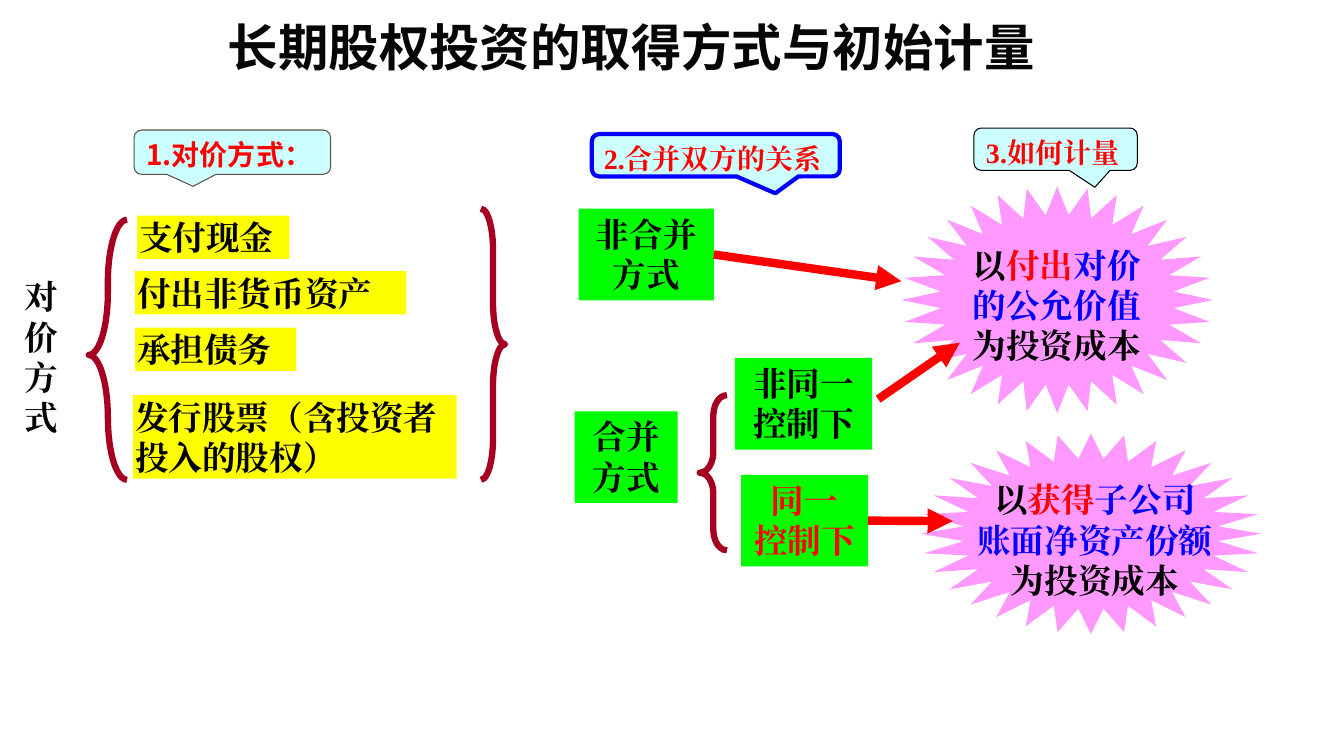
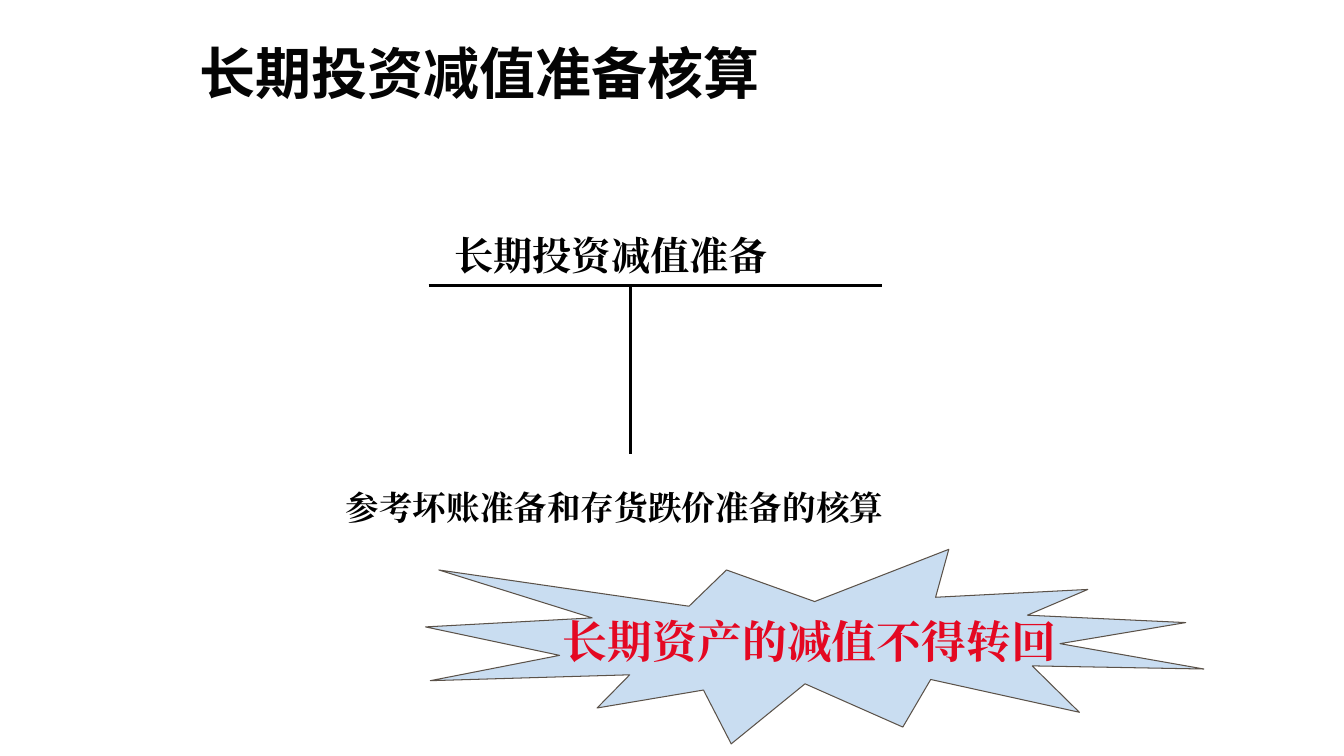
from dataclasses import dataclass
from typing import Any, Optional

import pptx
import pptx.dml.color
import pptx.enum.shapes
import pptx.enum.text
import pptx.oxml
import pptx.oxml.ns
import pptx.util
from pptx.util import Inches

SHAPE = pptx.enum.shapes.MSO_SHAPE
ALIGN = pptx.enum.text.PP_ALIGN
ANCHOR = pptx.enum.text.MSO_ANCHOR
Box = tuple[float, float, float, float]
Point = tuple[float, float]


@dataclass(frozen=True)
class Theme:
    serif: str = "Times New Roman"
    sans: str = "Noto Sans CJK SC"
    title_font: str = "Noto Sans CJK JP"
    ink: str = "070605"
    black: str = "000000"
    red: str = "FF0000"
    blue: str = "0000FF"
    brace: str = "A50021"
    outline: str = "5B5249"
    green: str = "00FF00"
    yellow: str = "FFFF00"
    pink: str = "FF99FF"
    cyan: str = "CCFFFF"
    pale_blue: str = "C9DDF1"
    alert: str = "E40822"
    body: float = 24
    label: float = 20
    account: float = 28
    warning: float = 32


T = Theme()


@dataclass(frozen=True)
class Run:
    text: str
    color: str


@dataclass(frozen=True)
class Callout:
    text: str
    box: Box
    tip: Point
    line: str
    width: float = 0.75
    font: str = T.serif


@dataclass(frozen=True)
class Method:
    lines: list[str]
    box: Box
    color: str = T.ink


@dataclass(frozen=True)
class Burst:
    box: Box
    text_box: Box
    lines: list[list[Run]]


@dataclass(frozen=True)
class Brace:
    kind: Any
    box: Box
    adj: Point


CALLOUTS = [
    Callout("1.对价方式：", (1.33, 1.29, 1.95, 0.44), (-0.2, 0.77), T.outline, font=T.sans),
    Callout("2.合并双方的关系", (5.87, 1.33, 2.46, 0.42), (0.24, 0.9), T.blue, 3),
    Callout("3.如何计量", (9.66, 1.27, 1.62, 0.42), (0.24, 0.9), T.black),
]
PAYMENTS = [
    ("支付现金", (1.36, 2.14, 1.51, 0.43)),
    ("付出非货币资产", (1.34, 2.69, 2.69, 0.43)),
    ("承担债务", (1.34, 3.25, 1.6, 0.43)),
    ("发行股票（含投资者投入的股权）", (1.32, 3.92, 3.21, 0.83)),
]
NOT_MERGED = Method(["非合并", "方式"], (5.74, 2.07, 1.34, 0.91))
MERGED = Method(["合并", "方式"], (5.7, 4.08, 1.02, 0.91))
OTHER_CONTROL = Method(["非同一", "控制下"], (7.29, 3.55, 1.36, 0.91), T.black)
SAME_CONTROL = Method(["同一", "控制下"], (7.35, 4.71, 1.26, 0.91), T.red)
BRACES = [
    Brace(SHAPE.LEFT_BRACE, (0.88, 2.18, 0.38, 2.58), (1.92, 0.52)),
    Brace(SHAPE.RIGHT_BRACE, (4.77, 2.07, 0.24, 2.69), (1.7, 0.5)),
    Brace(SHAPE.LEFT_BRACE, (6.94, 3.92, 0.27, 1.54), (0.75, 0.5)),
]
COST = [Run("为投资成本", T.black)]
BURSTS = [
    Burst((8.94, 1.85, 3.09, 2.25), (9.33, 2.37, 2.3, 1.31),
          [[Run("以", T.black), Run("付出", T.red), Run("对价", T.blue)],
           [Run("的公允价值", T.blue)], COST]),
    Burst((9.13, 4.3, 3.38, 1.99), (9.52, 4.7, 2.68, 1.31),
          [[Run("以", T.black), Run("获得", T.red), Run("子公司", T.blue)],
           [Run("账面净资产份额", T.blue)], COST]),
]


def rgb(color: str) -> pptx.dml.color.RGBColor:
    return pptx.dml.color.RGBColor.from_string(color)


def write(sp: Any, lines: list, *, size: float = T.body, color: str = T.black,
          font: str = T.serif, align: Any = ALIGN.LEFT, anchor: Any = ANCHOR.TOP,
          wrap: bool = True, margins: Point = (0.1, 0.05)) -> None:
    """Fill a shape with bold paragraphs; each line is a string or a list of runs."""
    tf = sp.text_frame
    tf.word_wrap = wrap
    tf.auto_size = pptx.enum.text.MSO_AUTO_SIZE.NONE
    tf.vertical_anchor = anchor
    tf.margin_left = tf.margin_right = Inches(margins[0])
    tf.margin_top = tf.margin_bottom = Inches(margins[1])
    for i, line in enumerate(lines):
        p = tf.add_paragraph() if i else tf.paragraphs[0]
        p.alignment = align
        for part in [Run(line, color)] if isinstance(line, str) else line:
            r = p.add_run()
            r.text = part.text
            r.font.size = pptx.util.Pt(size)
            r.font.bold = True
            r.font.color.rgb = rgb(part.color)
            r.font.name = font
            ea = pptx.oxml.parse_xml(f'<a:ea {pptx.oxml.ns.nsdecls("a")}/>')
            ea.set("typeface", font)
            r.font._element.append(ea)


def add_title(s: Any, text: str, box: Box, **fmt: Any) -> None:
    sp = s.shapes.title
    sp.left, sp.top, sp.width, sp.height = map(Inches, box)
    write(sp, [text], **fmt)


def add_text(s: Any, box: Box, lines: list, **fmt: Any) -> None:
    write(s.shapes.add_textbox(*map(Inches, box)), lines, **fmt)


def add_shape(s: Any, kind: Any, box: Box, *, fill: Optional[str] = None,
              line: Optional[str] = None, width: float = 0.75,
              adj: tuple[float, ...] = ()) -> Any:
    sp = s.shapes.add_shape(kind, *map(Inches, box))
    sp.shadow.inherit = False
    for i, value in enumerate(adj):
        sp.adjustments[i] = value
    if fill:
        sp.fill.solid()
        sp.fill.fore_color.rgb = rgb(fill)
    else:
        sp.fill.background()
    if line:
        sp.line.color.rgb = rgb(line)
        sp.line.width = pptx.util.Pt(width)
    else:
        sp.line.fill.background()
    return sp


def add_line(s: Any, start: Point, end: Point, *, color: str = T.black,
             width: float = 2.25, arrow: bool = False) -> Any:
    cn = s.shapes.add_connector(pptx.enum.shapes.MSO_CONNECTOR.STRAIGHT,
                                *map(Inches, start + end))
    cn.line.color.rgb = rgb(color)
    cn.line.width = pptx.util.Pt(width)
    ns = pptx.oxml.ns.nsdecls("a")
    if arrow:
        cn.line._get_or_add_ln().append(
            pptx.oxml.parse_xml(f'<a:tailEnd {ns} type="triangle"/>'))
    cn._element.spPr.append(pptx.oxml.parse_xml(f"<a:effectLst {ns}/>"))
    return cn


def add_method(s: Any, method: Method) -> Any:
    sp = add_shape(s, SHAPE.RECTANGLE, method.box, fill=T.green)
    write(sp, method.lines, color=method.color, align=ALIGN.CENTER)
    return sp


def add_arrow(s: Any, start: Point, end: Point, source: Any = None) -> None:
    """Draw a red arrow, joined to the right side of source when given."""
    cn = add_line(s, start, end, color=T.red, width=6, arrow=True)
    if source is not None:
        cn.begin_connect(source, 3)


def build_acquisition(s: Any) -> None:
    add_title(s, "长期股权投资的取得方式与初始计量", (2.16, 0.11, 8.69, 0.71),
              size=36, color=T.ink, font=T.title_font)
    for c in CALLOUTS:
        sp = add_shape(s, SHAPE.ROUNDED_RECTANGULAR_CALLOUT, c.box, fill=T.cyan,
                       line=c.line, width=c.width, adj=(*c.tip, 0.17))
        write(sp, [c.text], size=T.label, color=T.red, font=c.font, wrap=False)
    add_text(s, (0.14, 2.69, 0.54, 1.72), list("对价方式"), color=T.ink, wrap=False)
    for text, box in PAYMENTS:
        sp = add_shape(s, SHAPE.RECTANGLE, box, fill=T.yellow)
        write(sp, [text], anchor=ANCHOR.MIDDLE, margins=(0.02, 0.01))
    for b in BRACES:
        add_shape(s, b.kind, b.box, line=T.brace, width=4.5, adj=b.adj)
    for burst in BURSTS:
        add_shape(s, SHAPE.STAR_32_POINT, burst.box, fill=T.pink, adj=(0.375,))
        add_text(s, burst.text_box, burst.lines, align=ALIGN.CENTER, anchor=ANCHOR.MIDDLE)
    add_method(s, MERGED)
    add_method(s, OTHER_CONTROL)
    add_arrow(s, (7.08, 2.53), (8.94, 2.79), add_method(s, NOT_MERGED))
    add_arrow(s, (8.61, 5.17), (9.45, 5.17), add_method(s, SAME_CONTROL))
    add_arrow(s, (8.71, 3.96), (9.52, 3.4))


def build_impairment(s: Any) -> None:
    add_title(s, "长期投资减值准备核算", (1.88, 0.33, 9.37, 1.57),
              size=40, color="040404", font=T.sans)
    add_text(s, (4.41, 2.25, 3.4, 0.57), ["长期投资减值准备"], size=T.account, wrap=False)
    add_line(s, (4.25, 2.83), (8.75, 2.83))
    add_line(s, (6.25, 2.83), (6.25, 4.5))
    add_text(s, (3.33, 4.78, 6.33, 0.5), ["参考坏账准备和存货跌价准备的核算"])
    sp = add_shape(s, SHAPE.EXPLOSION1, (4.22, 5.45, 7.72, 1.93),
                   fill=T.pale_blue, line=T.outline)
    write(sp, ["长期资产的减值不得转回"], size=T.warning, color=T.alert,
          align=ALIGN.CENTER, anchor=ANCHOR.MIDDLE, wrap=False)


def main() -> None:
    prs = pptx.Presentation()
    prs.slide_width, prs.slide_height = Inches(13.33), Inches(7.5)
    title_only = prs.slide_layouts[5]
    for build in (build_acquisition, build_impairment):
        build(prs.slides.add_slide(title_only))
    prs.save("out.pptx")


if __name__ == "__main__":
    main()
